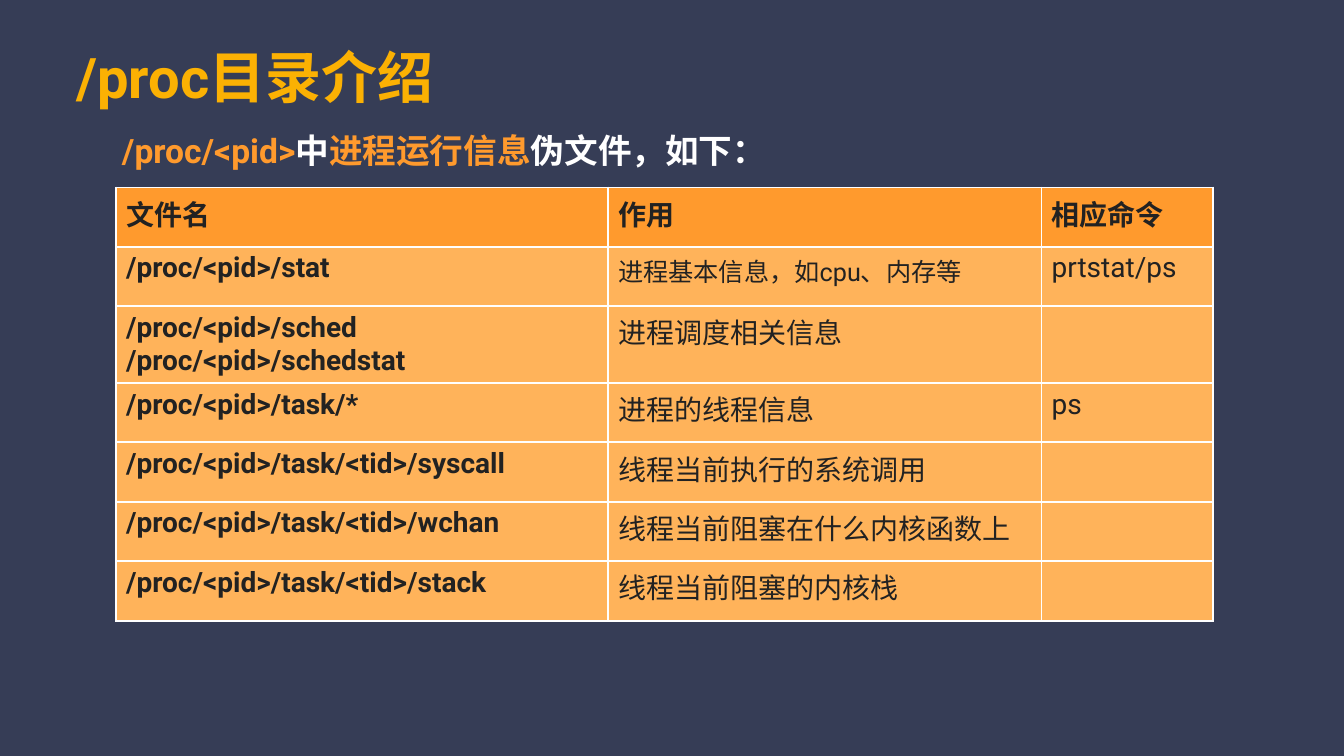
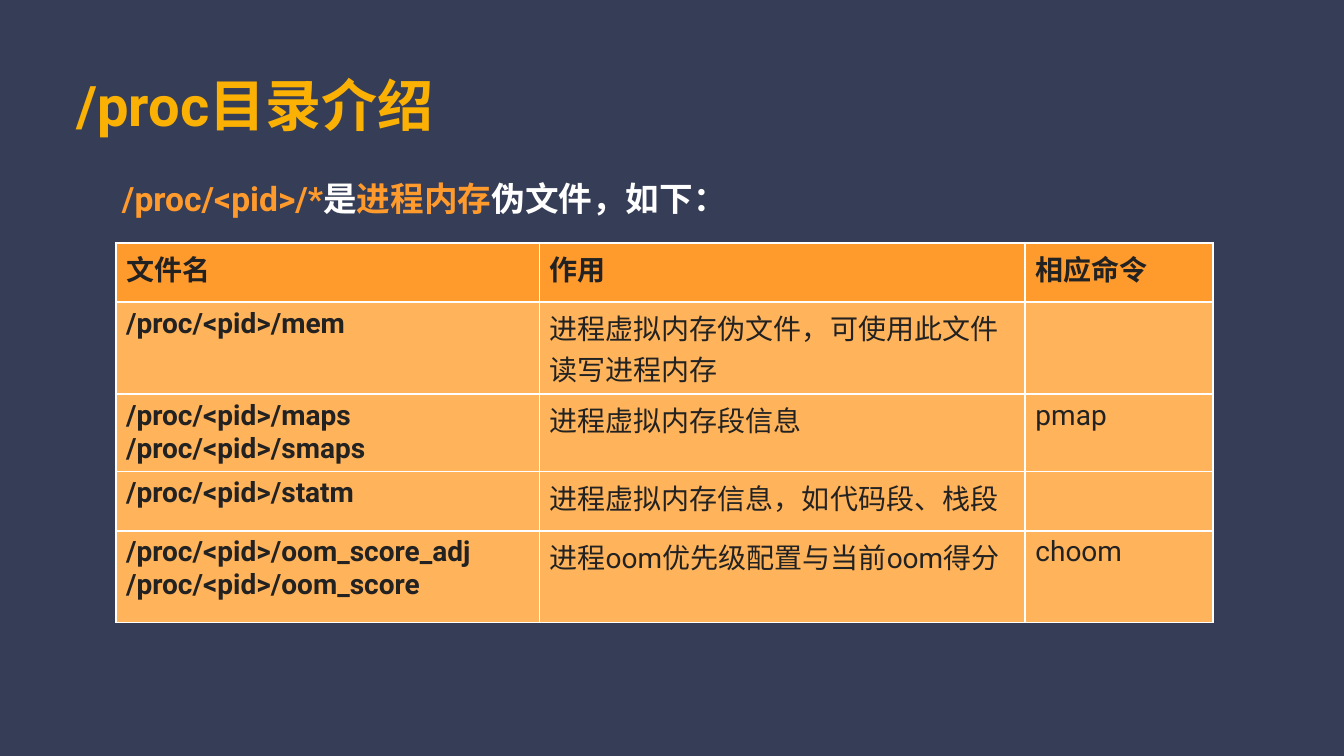
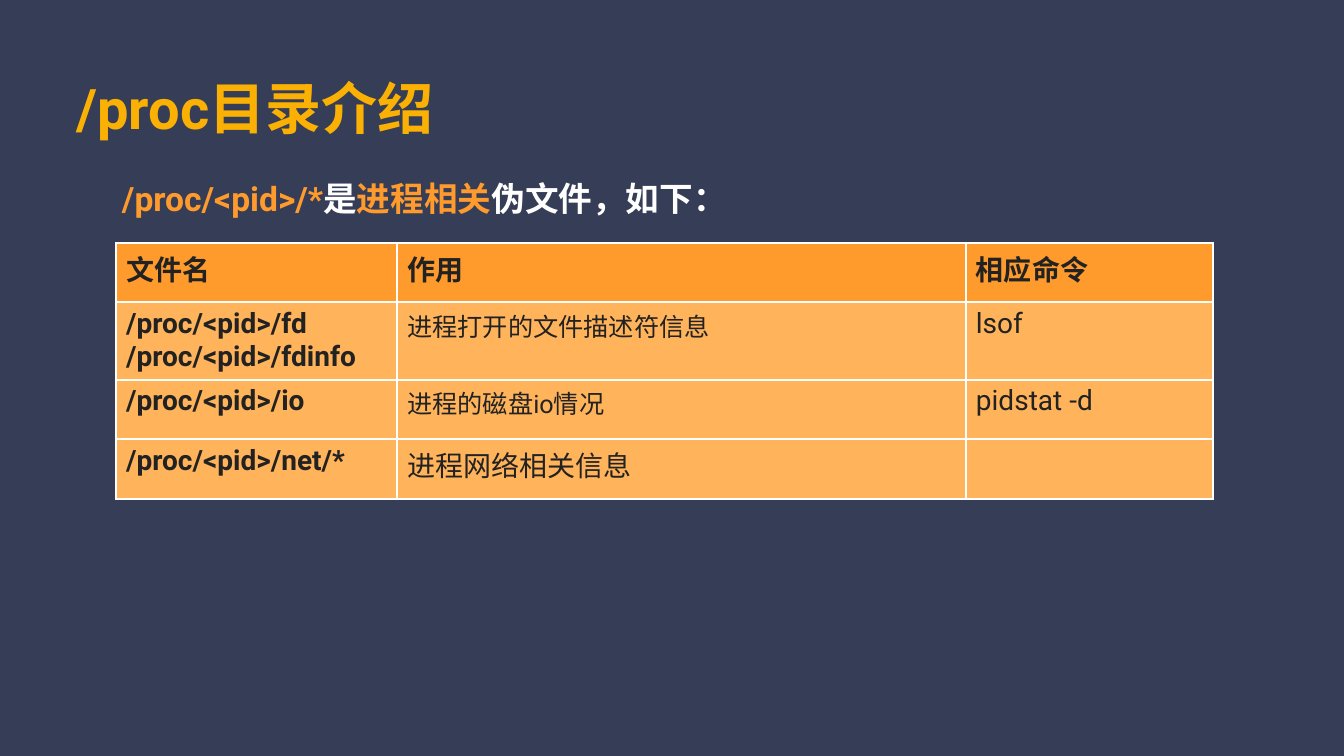
from lxml.etree import SubElement
from pptx import Presentation
from pptx.dml.color import RGBColor
from pptx.enum.lang import MSO_LANGUAGE_ID
from pptx.enum.text import MSO_ANCHOR, MSO_AUTO_SIZE
from pptx.oxml.ns import qn
from pptx.util import Emu, Pt

NAVY, GOLD, ORANGE, PEACH = "363D56", "FBB103", "FF9A2D", "FFB35A"
WHITE, INK = "FFFFFF", "222222"
FONT = "Roboto"
TITLE = "/proc目录介绍"
HEADER = ("文件名", "作用", "相应命令")
LEFT = 115
TEXT, SMALL = 20, 18
# Row heights: one line, two file names, purpose wrapped onto two lines
SINGLE, PAIR, WRAPPED = 59, 76, 91

# Each row: height, file names, purpose, command, size of the purpose text
SLIDES = [
    dict(
        title_box=(68, 21, 1164, 109), lead_top=123, table_top=186,
        lead=("/proc/<pid>", "中", "进程运行信息", "伪文件，如下："),
        columns=(488, 430, 170),
        rows=[
            (SINGLE, "/proc/<pid>/stat", "进程基本信息，如cpu、内存等", "prtstat/ps", SMALL),
            (PAIR, "/proc/<pid>/sched\n/proc/<pid>/schedstat", "进程调度相关信息", "", TEXT),
            (SINGLE, "/proc/<pid>/task/*", "进程的线程信息", "ps", TEXT),
            (SINGLE, "/proc/<pid>/task/<tid>/syscall", "线程当前执行的系统调用", "", TEXT),
            (SINGLE, "/proc/<pid>/task/<tid>/wchan", "线程当前阻塞在什么内核函数上", "", TEXT),
            (SINGLE, "/proc/<pid>/task/<tid>/stack", "线程当前阻塞的内核栈", "", TEXT),
        ],
    ),
    dict(
        title_box=(68, 52, 1164, 103), lead_top=171, table_top=241,
        lead=("/proc/<pid>/*", "是", "进程内存", "伪文件，如下："),
        columns=(420, 482, 186),
        rows=[
            (WRAPPED, "/proc/<pid>/mem", "进程虚拟内存伪文件，可使用此文件读写进程内存", "", TEXT),
            (PAIR, "/proc/<pid>/maps\n/proc/<pid>/smaps", "进程虚拟内存段信息", "pmap", TEXT),
            (SINGLE, "/proc/<pid>/statm", "进程虚拟内存信息，如代码段、栈段", "", TEXT),
            (WRAPPED, "/proc/<pid>/oom_score_adj\n/proc/<pid>/oom_score",
             "进程oom优先级配置与当前oom得分", "choom", TEXT),
        ],
    ),
    dict(
        title_box=(68, 52, 1164, 109), lead_top=171, table_top=241,
        lead=("/proc/<pid>/*", "是", "进程相关", "伪文件，如下："),
        columns=(279, 564, 245),
        rows=[
            (PAIR, "/proc/<pid>/fd\n/proc/<pid>/fdinfo", "进程打开的文件描述符信息", "lsof", SMALL),
            (SINGLE, "/proc/<pid>/io", "进程的磁盘io情况", "pidstat -d", SMALL),
            (SINGLE, "/proc/<pid>/net/*", "进程网络相关信息", "", TEXT),
        ],
    ),
]


def px(n):
    return Emu(n * 9144)


def rgb(value):
    return RGBColor.from_string(value)


def add_run(p, text, size, color, bold=True):
    r = p.add_run()
    r.text = text
    formats = dict(name=FONT, size=Pt(size), bold=bold,
                   language_id=MSO_LANGUAGE_ID.SIMPLIFIED_CHINESE)
    for key, value in formats.items():
        setattr(r.font, key, value)
    r.font.color.rgb = rgb(color)


def add_text(slide, box, runs, size, inset, auto_size=MSO_AUTO_SIZE.NONE):
    """Add a one-line text box; runs holds (text, colour) pairs."""
    tf = slide.shapes.add_textbox(*map(px, box)).text_frame
    formats = dict(word_wrap=True, auto_size=auto_size, vertical_anchor=MSO_ANCHOR.MIDDLE)
    formats.update({f"margin_{side}": px(inset) for side in ("left", "top", "right", "bottom")})
    for key, value in formats.items():
        setattr(tf, key, value)
    for text, color in runs:
        add_run(tf.paragraphs[0], text, size, color)


def add_borders(cell):
    tc_pr = cell._tc.get_or_add_tcPr()
    for i, side in enumerate(("lnL", "lnR", "lnT", "lnB")):
        ln = SubElement(tc_pr, qn(f"a:{side}"), w=str(Pt(1.5)))
        SubElement(SubElement(ln, qn("a:solidFill")), qn("a:srgbClr"), val=WHITE)
        tc_pr.insert(i, ln)


def fill_cell(cell, text, size, bold, color):
    cell.fill.solid()
    cell.fill.fore_color.rgb = rgb(color)
    add_borders(cell)
    tf = cell.text_frame
    for i, line in enumerate(text.splitlines()):
        p = tf.add_paragraph() if i else tf.paragraphs[0]
        add_run(p, line, size, INK, bold)


def add_file_table(slide, top, columns, rows):
    heights = [SINGLE] + [row[0] for row in rows]
    box = (LEFT, top, sum(columns), sum(heights))
    table = slide.shapes.add_table(len(heights), len(columns), *map(px, box)).table
    table.first_row = table.horz_banding = False
    for column, width in zip(table.columns, columns):
        column.width = px(width)
    for row, height in zip(table.rows, heights):
        row.height = px(height)
    for c, text in enumerate(HEADER):
        fill_cell(table.cell(0, c), text, TEXT, True, ORANGE)
    for r, (_, files, purpose, command, size) in enumerate(rows, 1):
        fill_cell(table.cell(r, 0), files, TEXT, True, PEACH)
        fill_cell(table.cell(r, 1), purpose, size, False, PEACH)
        fill_cell(table.cell(r, 2), command, TEXT, False, PEACH)


def main():
    prs = Presentation()
    prs.slide_width, prs.slide_height = px(1333), px(750)
    for s in SLIDES:
        slide = prs.slides.add_slide(prs.slide_layouts[6])
        slide.background.fill.solid()
        slide.background.fill.fore_color.rgb = rgb(NAVY)
        add_text(slide, s["title_box"], [(TITLE, GOLD)], 40, 8)
        add_file_table(slide, s["table_top"], s["columns"], s["rows"])
        add_text(slide, (LEFT, s["lead_top"], 1111, 51),
                 zip(s["lead"], (ORANGE, WHITE) * 2), 24, 6,
                 MSO_AUTO_SIZE.SHAPE_TO_FIT_TEXT)
    prs.save("out.pptx")


if __name__ == "__main__":
    main()
